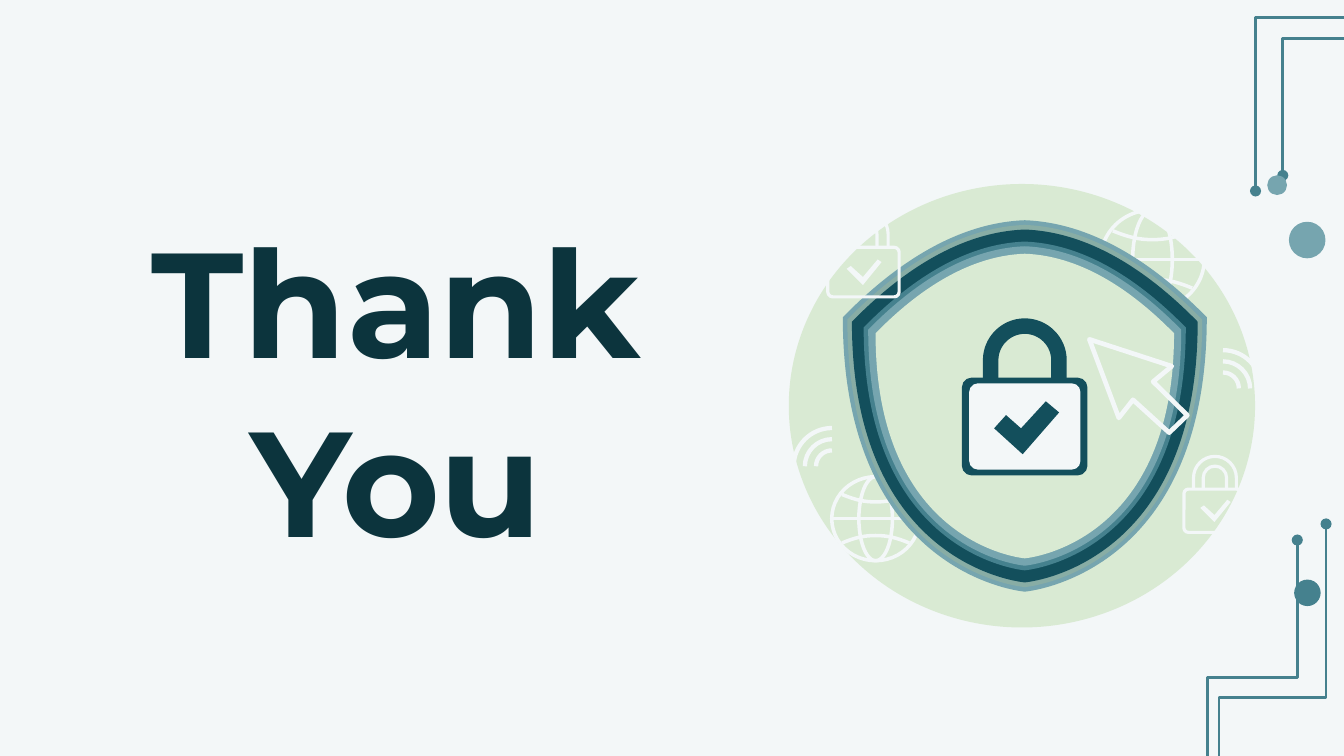
"""Builds a closing slide with a security shield illustration and circuit lines."""
import lxml.etree
import pptx
import pptx.dml.color
import pptx.enum.shapes
import pptx.enum.text
import pptx.oxml.ns
import pptx.util

Pt = pptx.util.Pt
qn = pptx.oxml.ns.qn
SHAPES = pptx.enum.shapes.MSO_SHAPE
CONNECTORS = pptx.enum.shapes.MSO_CONNECTOR
COLORS = {"pale": "F3F7F8", "ink": "0C343D", "dark": "134F5C", "teal": "45818E",
          "sky": "76A5AF", "sage": "88ADA5", "mint": "D9EAD3"}


def style(shape, fill=None, line=None, width=1):
    """Applies a flat fill and outline."""
    shape.shadow.inherit = False
    for part, name in ((shape.fill, fill), (shape.line.fill, line)):
        if name:
            part.solid()
            part.fore_color.rgb = pptx.dml.color.RGBColor.from_string(COLORS[name])
        else:
            part.background()
    if line:
        shape.line.width = Pt(width)


def outline(segments, closed=False):
    """Builds a freeform from points (x, y) and Bézier segments of six numbers."""
    corners = [(Pt(segment[-2]), Pt(segment[-1])) for segment in segments]
    builder = slide.shapes.build_freeform(*corners[0], scale=1.0)
    builder.add_line_segments(corners[1:], close=closed)
    shape = builder.convert_to_shape()
    straights = list(shape._element.iter(qn("a:lnTo")))
    for straight, segment in zip(straights, segments[1:]):
        if len(segment) == 6:
            curve = lxml.etree.Element(qn("a:cubicBezTo"))
            for x, y in zip(segment[::2], segment[1::2]):
                lxml.etree.SubElement(curve, qn("a:pt"), x=str(Pt(x) - shape.left),
                                      y=str(Pt(y) - shape.top))
            straight.getparent().replace(straight, curve)
    return shape


presentation = pptx.Presentation()
presentation.slide_width, presentation.slide_height = Pt(720), Pt(405)
slide = presentation.slides.add_slide(presentation.slide_layouts[5])
slide.background.fill.solid()
slide.background.fill.fore_color.rgb = pptx.dml.color.RGBColor.from_string(COLORS["pale"])

title = slide.shapes.title
title.left, title.top, title.width, title.height = Pt(30.2), Pt(227.5), Pt(364.3), Pt(83.5)
frame = title.text_frame
frame.text = "Thank\vYou"
frame.word_wrap = True
frame.auto_size = pptx.enum.text.MSO_AUTO_SIZE.NONE
frame.vertical_anchor = pptx.enum.text.MSO_ANCHOR.BOTTOM
frame.margin_left = frame.margin_right = frame.margin_top = frame.margin_bottom = Pt(7.2)
paragraph = frame.paragraphs[0]
paragraph.alignment = pptx.enum.text.PP_ALIGN.CENTER
paragraph.font.name, paragraph.font.size, paragraph.font.bold = "Montserrat", Pt(80), True
paragraph.font.color.rgb = pptx.dml.color.RGBColor.from_string(COLORS["ink"])

lines = []
for left, top, width, height, turn, bend in (
        (619.2, -8.5, 164.2, 57.4, 90, 43500), (637.7, -3.4, 146.9, 47.9, 90, 50000),
        (599.6, 334.1, 164.2, 57.4, 270, 43500), (597.6, 338.8, 146.9, 47.9, 270, 50000)):
    connector = slide.shapes.add_connector(CONNECTORS.ELBOW, Pt(left), Pt(top),
                                           Pt(left + width), Pt(top + height))
    properties = connector._element.spPr
    properties.find(qn("a:xfrm")).set("rot", str(turn * 60000))
    adjustments = properties.find(qn("a:prstGeom")).get_or_add_avLst()
    lxml.etree.SubElement(adjustments, qn("a:gd"), name="adj1", fmla=f"val {bend}")
    lines.append((connector, "teal", 1.5, "oval"))

for left, top, width, height, color in (
        (690.5, 118.8, 19.6, 19.6, "sky"), (693.3, 310.5, 14.2, 14.2, "teal"),
        (678.9, 93.9, 10.6, 10.6, "sky"), (422.6, 98.6, 249.8, 237.6, "mint")):
    style(slide.shapes.add_shape(SHAPES.OVAL, Pt(left), Pt(top), Pt(width), Pt(height)), color)

for x, y, direction in ((655.2, 208.1, 1), (445.7, 249.8, -1)):
    for radius in (20.5, 14.5, 8.5):
        reach, pull = direction * radius, 0.45 * radius
        style(outline([(x, y - radius), (x + 0.55 * reach, y - radius,
                                         x + reach, y - radius + pull, x + reach, y)]),
              line="pale", width=2.3)

for x, y, scale in ((469.1, 277.9, 1), (617.4, 139, 1.18)):
    ry = 22.5 * scale
    for rx in (23.5 * scale, 9 * scale):
        style(slide.shapes.add_shape(SHAPES.OVAL, Pt(x - rx), Pt(y - ry), Pt(2 * rx), Pt(2 * ry)),
              line="pale", width=1.9)
    equator = slide.shapes.add_connector(CONNECTORS.STRAIGHT, Pt(x - 23.5 * scale), Pt(y),
                                         Pt(x + 23.5 * scale), Pt(y))
    lines.append((equator, "pale", 1.9, "none"))
    for side in (-scale, scale):
        half, edge, middle = 18 * scale, y + 13 * side, y + 9 * side
        style(outline([(x - half, edge),
                       (x - half * 0.6, y + 10 * side, x - half / 3, middle, x, middle),
                       (x + half / 3, middle, x + half * 0.6, y + 10 * side, x + half, edge)]),
              line="pale", width=1.9)

for connector, color, width, tail in lines:
    connector.line.color.rgb = pptx.dml.color.RGBColor.from_string(COLORS[color])
    connector.line.width = Pt(width)
    properties = connector._element.spPr
    lxml.etree.SubElement(properties.find(qn("a:ln")), qn("a:tailEnd"), type=tail)
    lxml.etree.SubElement(properties, qn("a:effectLst"))

arches = [(549, 193, 18.3, 202.5, "dark", 8.3)]
bodies = [(515.3, 202.3, 67.3, 52.4, "dark", None), (519.2, 205.4, 59.6, 46.2, "pale", None)]
checks = [([(547.9, 243.4), (532.6, 229.5), (539, 222.4), (547, 229.5), (560.3, 215),
            (567.4, 221)], "dark")]
for x, top, scale in ((462.6, 132.5, 1), (650.9, 262.1, 0.87)):
    arches += [(x, top - 7 * scale, r * scale, top, "pale", 1.7) for r in (13.2, 7.2)]
    bodies.append((x - 19.1 * scale, top, 38.2 * scale, 26.6 * scale, None, "pale"))
    checks.append(([(x + dx * scale, top + dy * scale) for dx, dy in (
        (9.7, 7.9), (-0.3, 20.2), (-9, 11.5), (-6.8, 10), (-0.3, 15.9), (7.6, 6.5))], "pale"))

shield = [(0, -99.5), (40, -98, 74, -71.5, 97.5, -47.5), (97.5, 91.5, 0, 99.5, 0, 99.5),
          (0, 99.5, -97.5, 91.5, -97.5, -47.5), (-74, -71.5, -40, -98, 0, -99.5)]
for scale, color in ((1, "sky"), (0.975, "sage"), (0.95, "dark"),
                     (0.885, "teal"), (0.86, "sky"), (0.82, "mint")):
    style(outline([[(549, 217.5)[i % 2] + value * scale for i, value in enumerate(segment)]
                   for segment in shield], closed=True), color)

for x, spring, radius, base, color, width in arches:
    peak, shoulder, pull = spring - radius, spring - 0.55 * radius, 0.55 * radius
    style(outline([(x - radius, base), (x - radius, spring),
                   (x - radius, shoulder, x - pull, peak, x, peak),
                   (x + pull, peak, x + radius, shoulder, x + radius, spring),
                   (x + radius, base)]), line=color, width=width)
for left, top, width, height, fill, line in bodies:
    body = slide.shapes.add_shape(SHAPES.ROUNDED_RECTANGLE,
                                  Pt(left), Pt(top), Pt(width), Pt(height))
    body.adjustments[0] = 0.1
    style(body, fill, line, 1.7)
for points, color in checks:
    style(outline(points, closed=True), color)

cursor = [(583.6, 181.8), (627.8, 196.2), (617.8, 204.5), (636.1, 222.5), (626.4, 231.8),
          (607, 214.2), (599.4, 223.9)]
style(outline(cursor, closed=True), line="pale", width=2.5)

presentation.save("out.pptx")
